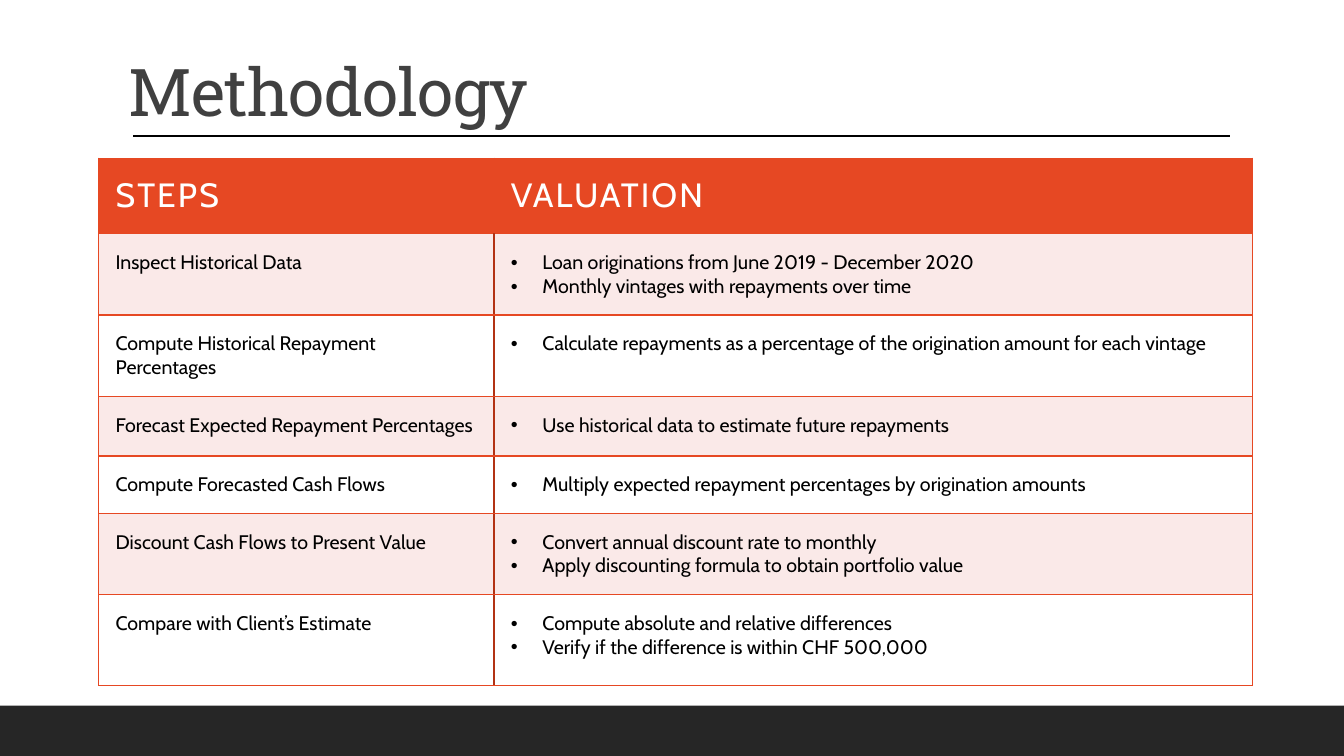
"""Build the Methodology slide: a title, a rule and a table of valuation steps."""
from dataclasses import dataclass

from lxml.etree import SubElement
from pptx import Presentation
from pptx.dml.color import RGBColor
from pptx.enum.shapes import MSO_CONNECTOR as Connector, MSO_SHAPE as Preset
from pptx.enum.text import MSO_ANCHOR as Anchor, MSO_AUTO_SIZE as AutoSize, PP_ALIGN as Align
from pptx.oxml import parse_xml
from pptx.oxml.ns import nsdecls, qn
from pptx.slide import Slide
from pptx.table import _Cell as Cell
from pptx.text.text import _Paragraph as Paragraph
from pptx.util import Inches, Length, Pt

WIDTH, HEIGHT = Inches(13.33), Inches(7.5)


@dataclass(frozen=True)
class TextStyle:
    """Type settings of one kind of text."""
    font: str
    size: float
    color: str
    spacing: float = 0


@dataclass(frozen=True)
class Theme:
    """Colours and type styles of the slide."""
    accent: str = "E64823"
    divider: str = "B23214"
    band: str = "FAE9E8"
    plain: str = "FFFFFF"
    footer: str = "262626"
    rule: str = "000000"
    title: TextStyle = TextStyle("Roboto Slab", 47, "404040", -0.5)
    header: TextStyle = TextStyle("Cabin", 24, "FFFFFF", 1.5)
    body: TextStyle = TextStyle("Cabin", 14, "000000")


@dataclass(frozen=True)
class Step:
    """One table row, with its height as a percentage of the slide."""
    name: str
    actions: tuple[str, ...]
    height: float


THEME = Theme()
HEADINGS = ("STEPS", "VALUATION")
HEADER_HEIGHT = 10
COLUMN_WIDTHS = (29.41, 56.41)
STEPS = (
    Step("Inspect Historical Data",
         ("Loan originations from June 2019 - December 2020",
          "Monthly vintages with repayments over time"), 10.7),
    Step("Compute Historical Repayment Percentages",
         ("Calculate repayments as a percentage of the origination amount for each vintage",), 10.7),
    Step("Forecast Expected Repayment Percentages",
         ("Use historical data to estimate future repayments",), 7.9),
    Step("Compute Forecasted Cash Flows",
         ("Multiply expected repayment percentages by origination amounts",), 7.6),
    Step("Discount Cash Flows to Present Value",
         ("Convert annual discount rate to monthly",
          "Apply discounting formula to obtain portfolio value"), 10.7),
    Step("Compare with Client’s Estimate",
         ("Compute absolute and relative differences",
          "Verify if the difference is within CHF 500,000"), 12),
)


def across(percent: float) -> Length:
    """Return a percentage of the slide width."""
    return Length(round(WIDTH * percent / 100))


def down(percent: float) -> Length:
    """Return a percentage of the slide height."""
    return Length(round(HEIGHT * percent / 100))


def format_paragraph(paragraph: Paragraph, style: TextStyle) -> None:
    """Apply a type style to every run of a paragraph."""
    paragraph.alignment = Align.LEFT
    for run in paragraph.runs:
        run.font.name = style.font
        run.font.size = Pt(style.size)
        run.font.bold = False
        run.font.color.rgb = RGBColor.from_string(style.color)
        run._r.get_or_add_rPr().set("spc", str(round(style.spacing * 100)))


def add_bullet(paragraph: Paragraph) -> None:
    """Give a paragraph a bullet with a hanging indent."""
    properties = paragraph._p.get_or_add_pPr()
    indent = across(2.35)
    properties.set("marL", str(indent))
    properties.set("indent", str(-indent))
    SubElement(properties, qn("a:buFont")).set("typeface", "Arial")
    SubElement(properties, qn("a:buChar")).set("char", "•")


def set_borders(cell: Cell, colors: dict[str, str]) -> None:
    """Draw one-point borders on the sides named L, R, T and B."""
    properties = cell._tc.get_or_add_tcPr()
    for position, (side, color) in enumerate(colors.items()):
        properties.insert(position, parse_xml(
            f'<a:ln{side} {nsdecls("a")} w="{Pt(1)}"><a:solidFill>'
            f'<a:srgbClr val="{color}"/></a:solidFill></a:ln{side}>'))


def fill_cell(cell: Cell, lines: tuple[str, ...], style: TextStyle, fill: str,
              inner: str, first: bool, bulleted: bool = False) -> None:
    """Write, colour and border one table cell."""
    cell.margin_left = cell.margin_right = across(1.25)
    cell.margin_top = cell.margin_bottom = down(2.22)
    cell.vertical_anchor = Anchor.TOP
    cell.text_frame.text = "\n".join(lines)
    for paragraph in cell.text_frame.paragraphs:
        format_paragraph(paragraph, style)
        if bulleted:
            add_bullet(paragraph)
    cell.fill.solid()
    cell.fill.fore_color.rgb = RGBColor.from_string(fill)
    set_borders(cell, {"L": THEME.accent if first else inner,
                       "R": inner if first else THEME.accent,
                       "T": THEME.accent, "B": THEME.accent})


def add_footer_bar(slide: Slide) -> None:
    """Draw the dark bar along the bottom edge."""
    bar = slide.shapes.add_shape(Preset.RECTANGLE, 0, down(93.33), WIDTH, down(6.67))
    bar.shadow.inherit = False
    bar.fill.solid()
    bar.fill.fore_color.rgb = RGBColor.from_string(THEME.footer)
    bar.line.fill.background()


def add_title(slide: Slide, text: str) -> None:
    """Place and format the slide title."""
    title = slide.shapes.title
    title.left, title.top = across(8.78), down(7.07)
    title.width, title.height = across(82.52), down(10.93)
    frame = title.text_frame
    frame.text = text
    frame.auto_size = AutoSize.NONE
    frame.vertical_anchor = Anchor.BOTTOM
    frame.paragraphs[0].line_spacing = 0.9
    format_paragraph(frame.paragraphs[0], THEME.title)


def add_steps_table(slide: Slide) -> None:
    """Draw the table of steps with alternating bands."""
    heights = (HEADER_HEIGHT, *(step.height for step in STEPS))
    table = slide.shapes.add_table(
        len(heights), len(COLUMN_WIDTHS), across(7.35), down(20.93),
        across(sum(COLUMN_WIDTHS)), down(sum(heights))).table
    table.horz_banding = False
    for column, width in zip(table.columns, COLUMN_WIDTHS):
        column.width = across(width)
    for row, height in zip(table.rows, heights):
        row.height = down(height)
    for index, heading in enumerate(HEADINGS):
        fill_cell(table.cell(0, index), (heading,), THEME.header, THEME.accent,
                  THEME.accent, index == 0)
    for index, step in enumerate(STEPS, start=1):
        fill = THEME.band if index % 2 else THEME.plain
        fill_cell(table.cell(index, 0), (step.name,), THEME.body, fill, THEME.divider, True)
        fill_cell(table.cell(index, 1), step.actions, THEME.body, fill, THEME.divider,
                  False, bulleted=True)


def add_title_rule(slide: Slide) -> None:
    """Draw the line under the title."""
    rule = slide.shapes.add_connector(
        Connector.STRAIGHT, across(9.9), down(18), across(91.52), down(18))
    rule.line.color.rgb = RGBColor.from_string(THEME.rule)
    rule.line.width = Pt(1)
    SubElement(rule._element.spPr, qn("a:effectLst"))


def main() -> None:
    """Build and save the presentation."""
    presentation = Presentation()
    presentation.slide_width, presentation.slide_height = WIDTH, HEIGHT
    slide = presentation.slides.add_slide(presentation.slide_layouts.get_by_name("Title Only"))
    add_footer_bar(slide)
    add_title(slide, "Methodology")
    add_steps_table(slide)
    add_title_rule(slide)
    presentation.save("out.pptx")


if __name__ == "__main__":
    main()
